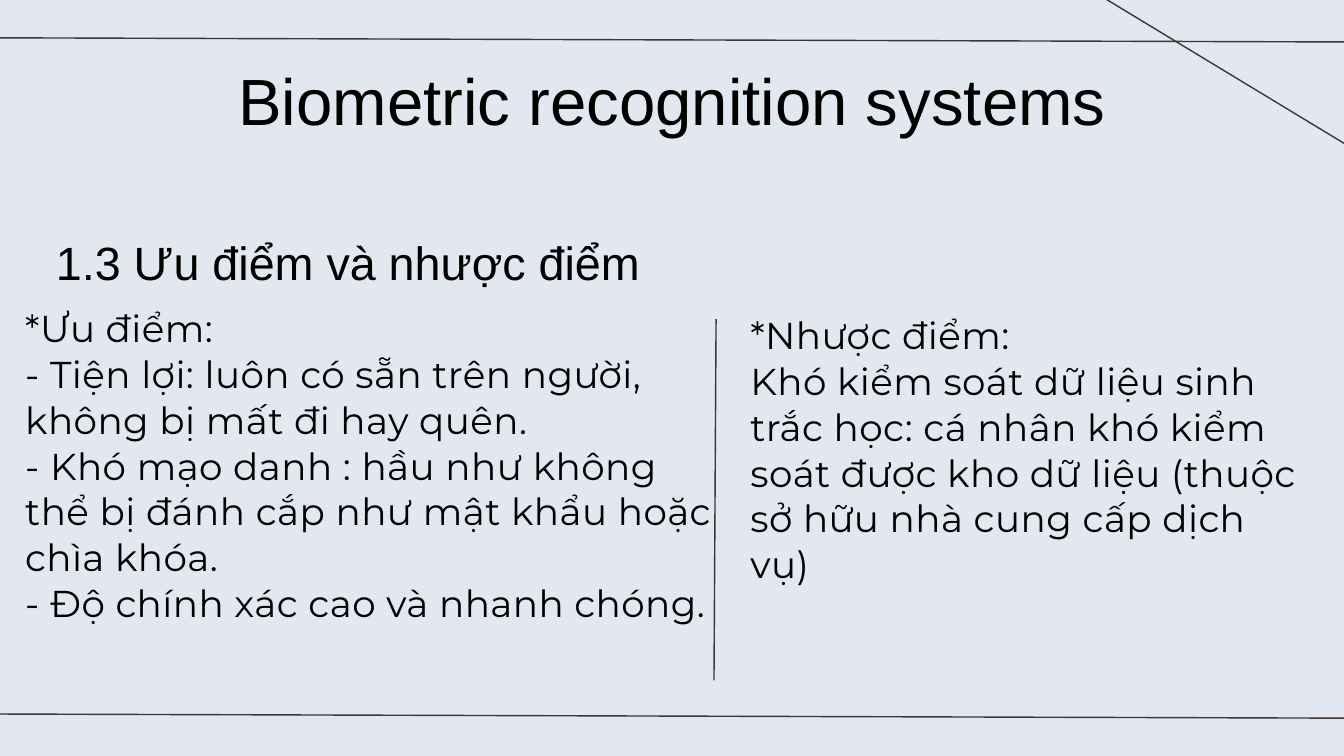
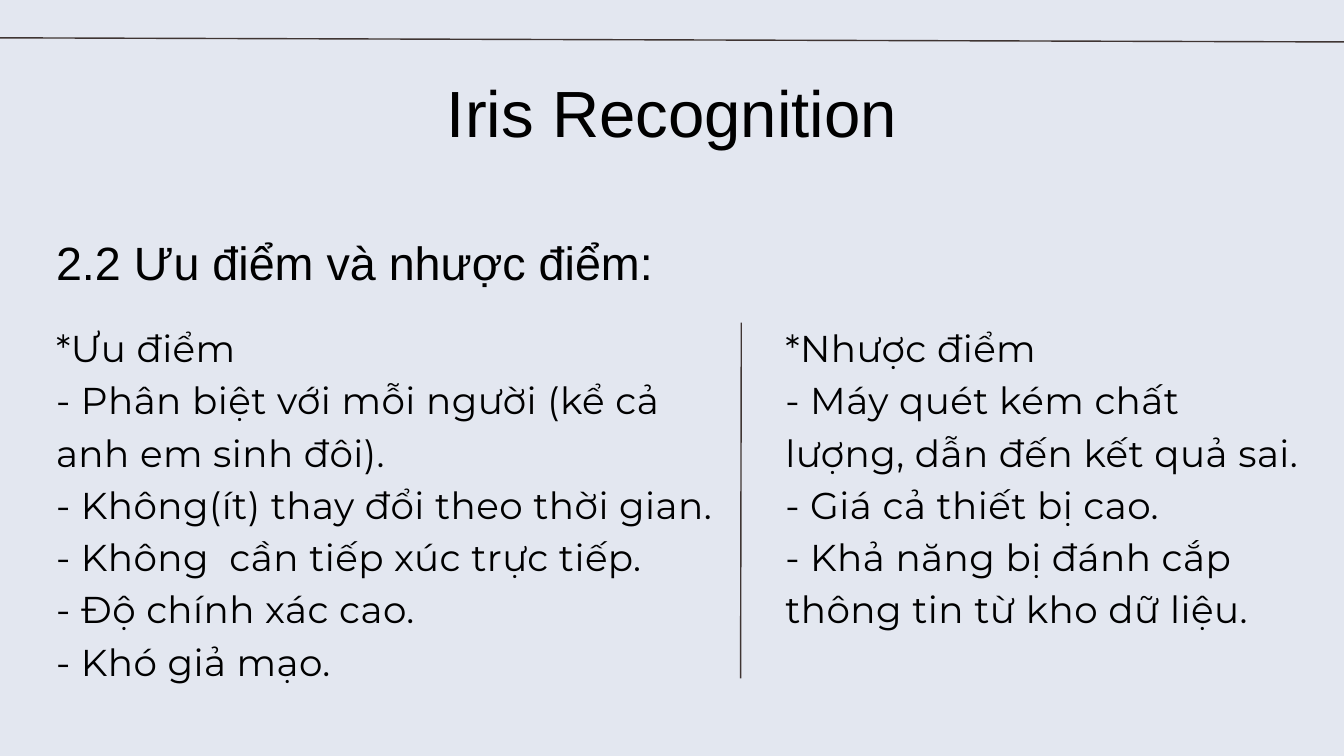
from lxml.etree import SubElement
from pptx import Presentation
from pptx.dml.color import RGBColor
from pptx.enum.shapes import MSO_CONNECTOR as Connector
from pptx.enum.text import MSO_AUTO_SIZE as AutoSize, PP_ALIGN as Align
from pptx.oxml.ns import qn
from pptx.util import Emu, Pt

EMU_PER_PX = 9525
WIDTH, HEIGHT = 1920, 1080
COLORS = {"background": "E3E7F0", "rule": "3F3533", "text": "000000"}
MARGIN = 80


def px(length):
    return Emu(length * EMU_PER_PX)


def color(name):
    return RGBColor.from_string(COLORS[name])


class Deck:
    """Holds the shared style and the slide being filled."""

    def __init__(self):
        self.prs = Presentation()
        self.prs.slide_width, self.prs.slide_height = px(WIDTH), px(HEIGHT)
        self.slide = None

    def new_slide(self):
        self.slide = self.prs.slides.add_slide(self.prs.slide_layouts[6])
        fill = self.slide.background.fill
        fill.solid()
        fill.fore_color.rgb = color("background")

    def rule(self, x1, y1, x2, y2):
        line = self.slide.shapes.add_connector(
            Connector.STRAIGHT, px(x1), px(y1), px(x2), px(y2))
        line.line.color.rgb = color("rule")
        line.line.width = Pt(1.5)
        SubElement(line._element.spPr, qn("a:effectLst"))

    def wide_rule(self, top):
        """Draw a slightly sloping rule that runs past both slide edges."""
        self.rule(-18, top, WIDTH + 18, top + 6)

    def text(self, box, paragraphs, size, leading, font="Arial",
             align=Align.LEFT, tracking=0):
        """Write paragraphs; size and leading in points, tracking in 1/100 pt."""
        frame = self.slide.shapes.add_textbox(*map(px, box)).text_frame
        frame.word_wrap = True
        frame.auto_size = AutoSize.SHAPE_TO_FIT_TEXT
        frame.margin_left = frame.margin_right = 0
        frame.margin_top = frame.margin_bottom = 0
        frame.text = "\n".join(paragraphs)
        for paragraph in frame.paragraphs:
            paragraph.alignment = align
            paragraph.line_spacing = Pt(leading)
            paragraph.font.name = font
            paragraph.font.size = Pt(size)
            paragraph.font.color.rgb = color("text")
            if tracking:
                properties = paragraph._p.pPr.find(qn("a:defRPr"))
                properties.set("spc", str(tracking))

    def title(self, top, height, width, wording):
        box = ((WIDTH - width) // 2, top, width, height)
        self.text(box, [wording], 70, 84, align=Align.CENTER)

    def heading(self, width, wording):
        self.text((MARGIN, 334, width, 78), [wording], 50, 60)

    def body(self, box, paragraphs, leading):
        self.text(box, paragraphs, 40, leading, "Montserrat", tracking=50)


def biometric_systems(deck):
    deck.new_slide()
    deck.wide_rule(54)
    deck.wide_rule(1020)
    deck.rule(1559, -14, 1970, 235)
    deck.rule(1023, 456, 1020, 972)
    deck.title(86, 222, 1258, "Biometric recognition systems")
    deck.heading(1022, "1.3 Ưu điểm và nhược điểm")
    deck.body((36, 434, 983, 519), [
        "*Ưu điểm:",
        "- Tiện lợi: luôn có sẵn trên người, không bị mất đi hay quên.",
        "- Khó mạo danh : hầu như không thể bị đánh cắp như mật khẩu "
        "hoặc chìa khóa.",
        "- Độ chính xác cao và nhanh chóng.",
    ], 49.2)
    deck.body((1072, 444, 804, 390), [
        "*Nhược điểm:",
        "Khó kiểm soát dữ liệu sinh trắc học: cá nhân khó kiểm soát được "
        "kho dữ liệu (thuộc sở hữu nhà cung cấp dịch vụ)",
    ], 49.2)


def iris_recognition(deck):
    deck.new_slide()
    deck.wide_rule(54)
    deck.title(103, 111, 1602, "Iris Recognition")
    deck.heading(944, "2.2 Ưu điểm và nhược điểm:")
    deck.body((MARGIN, 454, 944, 515), [
        "*Ưu điểm",
        "- Phân biệt với mỗi người (kể cả anh em sinh đôi).",
        "- Không(ít) thay đổi theo thời gian.",
        "- Không  cần tiếp xúc trực tiếp.",
        "- Độ chính xác cao.",
        "- Khó giả mạo.",
    ], 56)
    deck.rule(1059, 461, 1058, 969)
    deck.body((1122, 454, 738, 441), [
        "*Nhược điểm",
        "- Máy quét kém chất lượng, dẫn đến kết quả sai.",
        "- Giá cả thiết bị cao.",
        "- Khả năng bị đánh cắp thông tin từ kho dữ liệu.",
    ], 56)


def main():
    deck = Deck()
    biometric_systems(deck)
    iris_recognition(deck)
    deck.prs.save("out.pptx")


if __name__ == "__main__":
    main()
